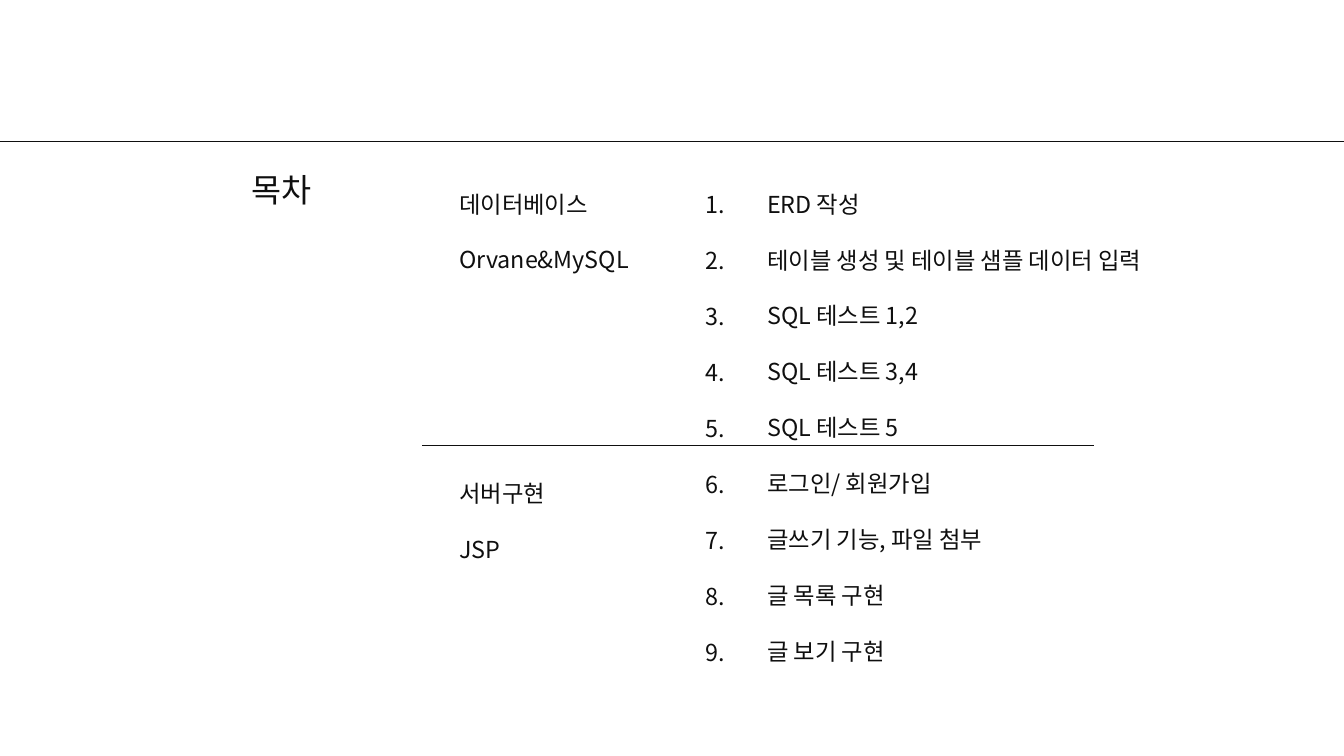
from dataclasses import dataclass

from lxml import etree
from pptx import Presentation
from pptx.dml.color import RGBColor
from pptx.enum.shapes import MSO_CONNECTOR
from pptx.enum.text import MSO_AUTO_SIZE
from pptx.oxml.ns import qn
from pptx.util import Emu, Pt

STRAIGHT = MSO_CONNECTOR.STRAIGHT
FIT_SHAPE = MSO_AUTO_SIZE.SHAPE_TO_FIT_TEXT
EMU_PER_PX = 9525
PAGE_WIDTH, PAGE_HEIGHT = 1920, 1080


@dataclass(frozen=True)
class Theme:
    """Colours, font and sizes of the contents page."""
    ink: RGBColor = RGBColor(0x0F, 0x0F, 0x0F)
    paper: RGBColor = RGBColor(0xFF, 0xFF, 0xFF)
    font: str = "Noto Sans CJK KR"
    title_size: int = 35
    body_size: int = 25
    rule_width: float = 0.75


def px(length):
    """Turn whole pixels into EMU."""
    return Emu(length * EMU_PER_PX)


def write_text(para, text, *, font, size, color, spacing):
    """Write one formatted span into a paragraph."""
    para.line_spacing = spacing
    span = para.add_run()
    span.text = text
    span.font.name = font
    span.font.size = Pt(size)
    span.font.color.rgb = color
    east_asian = etree.SubElement(span.font._element, qn("a:ea"))
    east_asian.set("typeface", font)


class PageBuilder:
    """Draws styled elements on the current page."""

    def __init__(self, page, theme):
        """Keep the page and theme and paint the background."""
        self.page = page
        self.theme = theme
        fill = page.background.fill
        fill.solid()
        fill.fore_color.rgb = theme.paper

    def rule(self, left, right, top):
        """Draw a thin horizontal rule."""
        line = self.page.shapes.add_connector(
            STRAIGHT, px(left), px(top), px(right), px(top))
        line.line.color.rgb = self.theme.ink
        line.line.width = Pt(self.theme.rule_width)
        etree.SubElement(line._element.spPr, qn("a:effectLst"))

    def text(self, lines, left, top, width, height, size=None, spacing=2.0):
        """Place a text box with one paragraph per line."""
        box = self.page.shapes.add_textbox(
            px(left), px(top), px(width), px(height))
        frame = box.text_frame
        frame.word_wrap = True
        frame.auto_size = FIT_SHAPE
        frame.margin_left = frame.margin_right = 0
        frame.margin_top = frame.margin_bottom = 0
        for index, line in enumerate(lines):
            para = frame.add_paragraph() if index else frame.paragraphs[0]
            write_text(para, line, font=self.theme.font,
                       size=size or self.theme.body_size,
                       color=self.theme.ink, spacing=spacing)


def main():
    """Build the contents page and save the deck."""
    deck = Presentation()
    deck.slide_width, deck.slide_height = px(PAGE_WIDTH), px(PAGE_HEIGHT)
    theme = Theme()
    builder = PageBuilder(deck.slides.add_slide(deck.slide_layouts[6]), theme)

    topics = [
        "ERD 작성",
        "테이블 생성 및 테이블 샘플 데이터 입력",
        "SQL 테스트 1,2",
        "SQL 테스트 3,4",
        "SQL 테스트 5",
        "로그인/ 회원가입",
        "글쓰기 기능, 파일 첨부",
        "글 목록 구현",
        "글 보기 구현",
    ]
    numbers = [f"{number}." for number in range(1, len(topics) + 1)]
    sections = [
        (231, ["데이터베이스", "Orvane&MySQL"]),
        (645, ["서버구현", "JSP"]),
    ]

    builder.rule(0, PAGE_WIDTH, 202)
    builder.text(["목차"], 359, 234, 393, 66,
                 size=theme.title_size, spacing=Pt(49))
    builder.text(numbers, 1008, 232, 56, 717)
    builder.text(topics, 1096, 231, 672, 717)
    builder.rule(603, 1563, 636)
    for top, lines in sections:
        builder.text(lines, 656, top, 336, 152)

    deck.save("out.pptx")


if __name__ == "__main__":
    main()
